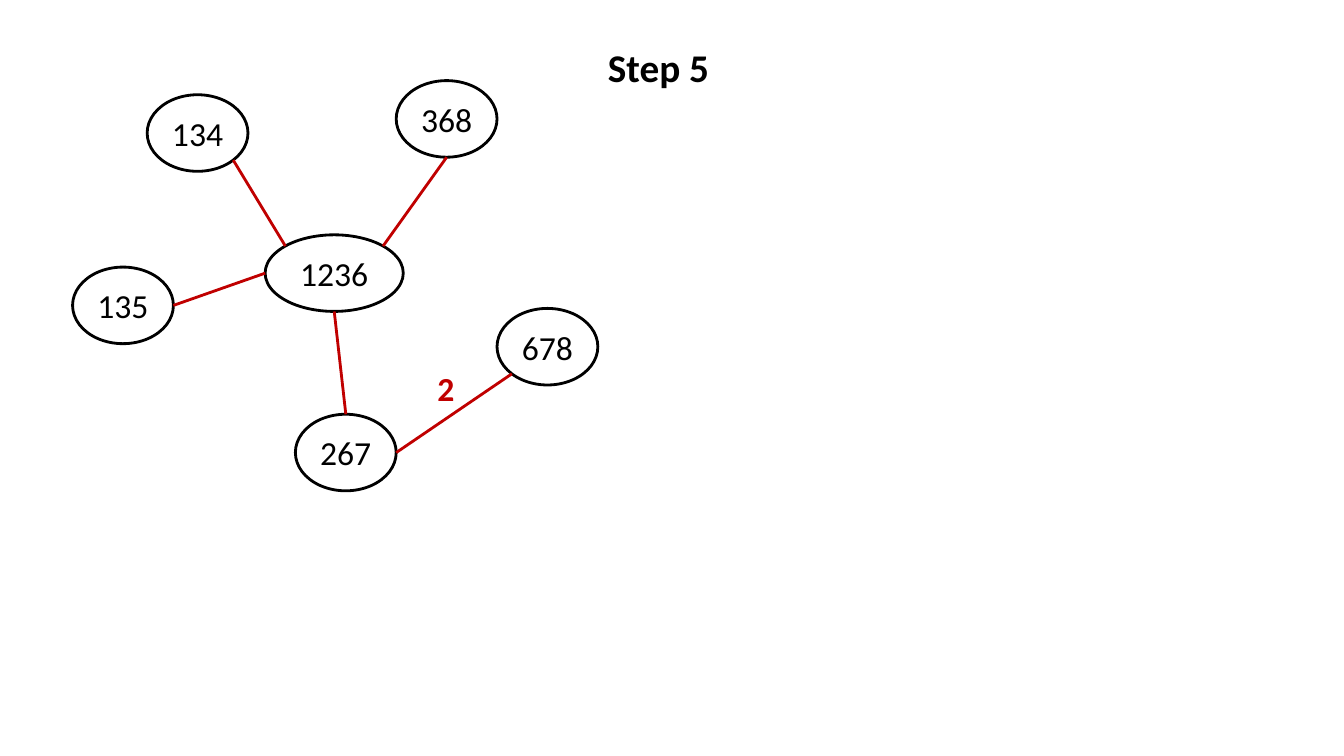
from dataclasses import dataclass
from math import sqrt

from lxml import etree
from pptx import Presentation
from pptx.dml.color import RGBColor
from pptx.enum.shapes import MSO_CONNECTOR, MSO_SHAPE
from pptx.enum.text import MSO_ANCHOR, MSO_AUTO_SIZE, PP_ALIGN
from pptx.oxml.ns import qn
from pptx.util import Inches, Pt

ELLIPSE = MSO_SHAPE.OVAL
STRAIGHT = MSO_CONNECTOR.STRAIGHT
TOP, MIDDLE = MSO_ANCHOR.TOP, MSO_ANCHOR.MIDDLE
LEFT, CENTER = PP_ALIGN.LEFT, PP_ALIGN.CENTER
FIT_SHAPE = MSO_AUTO_SIZE.SHAPE_TO_FIT_TEXT
TITLE_ONLY_LAYOUT = 5


@dataclass(frozen=True)
class Theme:
    """Hold the colours, font and sizes of the slide."""
    ink: RGBColor = RGBColor(0x00, 0x00, 0x00)
    edge: RGBColor = RGBColor(0xC0, 0x00, 0x00)
    font: str = "Calibri"
    title_size: int = 28
    label_size: int = 24
    line_width: int = 2


THEME = Theme()
NODE_WIDTH, HUB_WIDTH, NODE_HEIGHT = 1, 1.37, 0.76
NODES = [
    ("134", 1.46, 0.94, NODE_WIDTH),
    ("135", 0.72, 2.65, NODE_WIDTH),
    ("368", 3.93, 0.8, NODE_WIDTH),
    ("267", 2.93, 4.11, NODE_WIDTH),
    ("678", 4.93, 3.06, NODE_WIDTH),
    ("1236", 2.63, 2.33, HUB_WIDTH),
]
DIAGONAL = 1 / sqrt(2)
SITES = {
    "top": (0, -1),
    "left": (-1, 0),
    "bottom": (0, 1),
    "right": (1, 0),
    "top left": (-DIAGONAL, -DIAGONAL),
    "top right": (DIAGONAL, -DIAGONAL),
    "bottom left": (-DIAGONAL, DIAGONAL),
    "bottom right": (DIAGONAL, DIAGONAL),
}
EDGES = [
    ("134", "bottom right", "1236", "top left"),
    ("135", "right", "1236", "left"),
    ("1236", "top right", "368", "bottom"),
    ("267", "top", "1236", "bottom"),
    ("267", "right", "678", "bottom left"),
]


def write_text(shape, text, size, color, bold=False, align=LEFT, anchor=TOP):
    """Put one formatted line of text into a shape."""
    frame = shape.text_frame
    frame.text = text
    frame.vertical_anchor = anchor
    paragraph = frame.paragraphs[0]
    paragraph.alignment = align
    font = paragraph.runs[0].font
    font.name, font.size, font.bold = THEME.font, Pt(size), bold
    font.color.rgb = color


def fit_to_text(shape):
    """Let a shape follow its single unwrapped line."""
    shape.text_frame.word_wrap = False
    shape.text_frame.auto_size = FIT_SHAPE


def set_title(slide, text):
    """Place the title placeholder and fill it."""
    title = slide.shapes.title
    title.left, title.top = Inches(5.93), Inches(0.38)
    title.width, title.height = Inches(1.22), Inches(0.57)
    write_text(title, text, THEME.title_size, THEME.ink, bold=True)
    fit_to_text(title)


def add_node(slide, text, left, top, width):
    """Draw one labelled ellipse of the graph."""
    node = slide.shapes.add_shape(
        ELLIPSE, Inches(left), Inches(top), Inches(width), Inches(NODE_HEIGHT))
    node.shadow.inherit = False
    node.fill.background()
    node.line.color.rgb = THEME.ink
    node.line.width = Pt(THEME.line_width)
    write_text(node, text, THEME.label_size, THEME.ink, align=CENTER, anchor=MIDDLE)
    return node


def site_point(node, site):
    """Return the point of a named site on an ellipse."""
    across, down = SITES[site]
    return (round(node.left + node.width * (1 + across) / 2),
            round(node.top + node.height * (1 + down) / 2))


def add_edge(slide, start, start_site, end, end_site):
    """Draw a line between sites of two nodes."""
    edge = slide.shapes.add_connector(
        STRAIGHT, *site_point(start, start_site), *site_point(end, end_site))
    edge.line.color.rgb = THEME.edge
    edge.line.width = Pt(THEME.line_width)
    etree.SubElement(edge._element.spPr, qn("a:effectLst"))


def add_edge_label(slide, text, left, top, width, height):
    """Write the weight beside an edge."""
    label = slide.shapes.add_textbox(
        Inches(left), Inches(top), Inches(width), Inches(height))
    write_text(label, text, THEME.label_size, THEME.edge, bold=True)
    fit_to_text(label)


def main():
    """Build and save the slide."""
    presentation = Presentation()
    presentation.slide_width = Inches(13.33)
    presentation.slide_height = Inches(7.5)
    slide = presentation.slides.add_slide(
        presentation.slide_layouts[TITLE_ONLY_LAYOUT])
    set_title(slide, "Step 5")
    nodes = {text: add_node(slide, text, left, top, width)
             for text, left, top, width in NODES}
    for start, start_site, end, end_site in EDGES:
        add_edge(slide, nodes[start], start_site, nodes[end], end_site)
    add_edge_label(slide, "2", 4.24, 3.6, 0.37, 0.5)
    presentation.save("out.pptx")


if __name__ == "__main__":
    main()
